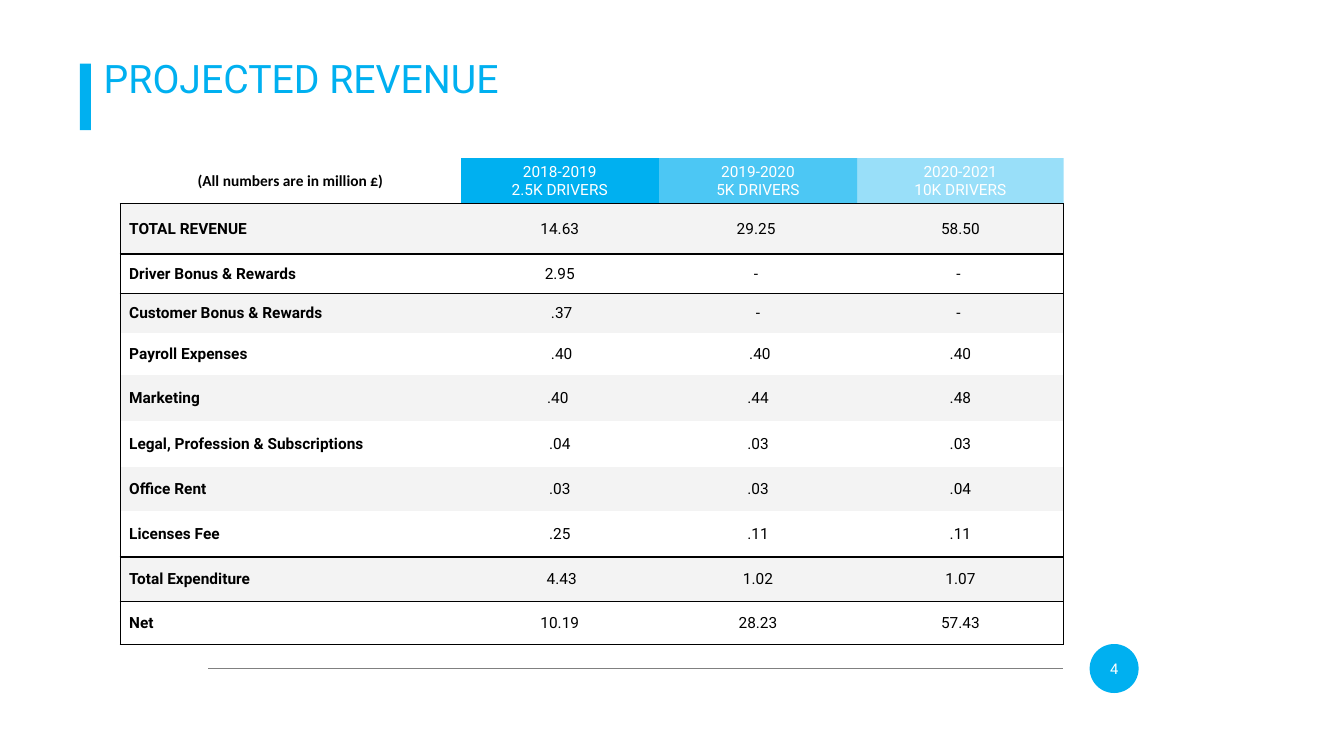
from lxml import etree
from pptx import Presentation
from pptx.dml.color import RGBColor
from pptx.enum.shapes import MSO_CONNECTOR, MSO_SHAPE
from pptx.enum.text import MSO_ANCHOR, PP_ALIGN
from pptx.oxml.ns import qn
from pptx.util import Pt

LEFT, CENTER = PP_ALIGN.LEFT, PP_ALIGN.CENTER
TOP, MIDDLE = MSO_ANCHOR.TOP, MSO_ANCHOR.MIDDLE
OVAL, RECTANGLE = MSO_SHAPE.OVAL, MSO_SHAPE.RECTANGLE
STRAIGHT = MSO_CONNECTOR.STRAIGHT

THEME = {
    "accent": "00B0F0", "ink": "000000", "paper": "FFFFFF", "band": "F3F3F3", "rule": "808080",
    "font": "Roboto", "note_font": "Calibri",
    "title_size": 28, "table_size": 11, "page_size": 10.5,
    "no_table_style": "{2D5ABB26-0587-4C30-8999-92F81FD0307C}",
}

TITLE = "PROJECTED REVENUE"
PAGE = "4"
UNIT_NOTE = "(All numbers are in million £)"
YEARS = [("2018-2019\n2.5K DRIVERS", 100), ("2019-2020\n5K DRIVERS", 70), ("2020-2021\n10K DRIVERS", 40)]
FIGURES = [
    ("TOTAL REVENUE", "14.63", "29.25\u00a0", "58.50"),
    ("Driver Bonus & Rewards", "2.95", "-\u00a0", "-\u00a0"),
    ("Customer Bonus & Rewards", "\u00a0.37", "-", "-\u00a0"),
    ("Payroll Expenses", "\u00a0.40", "\u00a0.40", ".40"),
    ("Marketing", ".40\u00a0", ".44", ".48"),
    ("Legal, Profession & Subscriptions", ".04", ".03", ".03"),
    ("Office Rent", ".03", ".03", ".04"),
    ("Licenses Fee", ".25", ".11", ".11"),
    ("Total Expenditure", "\u00a04.43", "1.02", "1.07"),
    ("Net", "10.19", "28.23", "57.43"),
]
RULED_BELOW = {"TOTAL REVENUE", "Licenses Fee", "Total Expenditure", "Net"}
BANDED = {"TOTAL REVENUE", "Customer Bonus & Rewards", "Marketing", "Office Rent", "Total Expenditure"}
COLUMN_WIDTHS = [243.36, 141.4, 141.8, 147.4]
ROW_HEIGHTS = [32.5, 36, 28.3, 28.1, 30.2, 32.4, 33.3, 31.6, 32.6, 31.6, 31]


def rgb(name):
    return RGBColor.from_string(THEME[name])


def write(frame, text, *, size, color, font="font", bold=False, align=LEFT, anchor=TOP):
    frame.word_wrap = True
    frame.vertical_anchor = anchor
    for index, line in enumerate(text.split("\n")):
        paragraph = frame.paragraphs[0] if index == 0 else frame.add_paragraph()
        paragraph.alignment = align
        run = paragraph.add_run()
        run.text = line
        run.font.name = THEME[font]
        run.font.size = Pt(THEME[size])
        run.font.bold = bold
        run.font.color.rgb = rgb(color)


def add_block(kind, *box):
    block = slide.shapes.add_shape(kind, *map(Pt, box))
    block.shadow.inherit = False
    block.fill.solid()
    block.fill.fore_color.rgb = rgb("accent")
    block.line.fill.background()


def style_cell(cell, fill, sides, opacity=100, inset=(6.5, 0)):
    cell.margin_left = cell.margin_right = Pt(inset[0])
    cell.margin_top = cell.margin_bottom = Pt(inset[1])
    cell.vertical_anchor = MIDDLE
    cell.fill.solid()
    cell.fill.fore_color.rgb = rgb(fill)
    properties = cell._tc.get_or_add_tcPr()
    if opacity < 100:
        tint = next(properties.iter(qn("a:srgbClr")))
        etree.SubElement(tint, qn("a:alpha"), val=str(opacity * 1000))
    for position, side in enumerate(side for side in "LRTB" if side in sides):
        border = etree.Element(qn("a:ln" + side), w=str(Pt(1)))
        ink = etree.SubElement(border, qn("a:solidFill"))
        etree.SubElement(ink, qn("a:srgbClr"), val=THEME["ink"])
        properties.insert(position, border)


deck = Presentation()
deck.slide_width, deck.slide_height = Pt(960), Pt(540)
slide = deck.slides.add_slide(deck.slide_layouts[6])

add_block(OVAL, 778.3, 460, 35, 35)
footer_rule = slide.shapes.add_connector(STRAIGHT, Pt(148.7), Pt(477.3), Pt(759.6), Pt(477.3))
footer_rule.line.color.rgb = rgb("rule")
footer_rule.line.width = Pt(0.5)
etree.SubElement(footer_rule._element.spPr, qn("a:effectLst"))

page_number = slide.shapes.add_textbox(Pt(778.3), Pt(460), Pt(35), Pt(35))
write(page_number.text_frame, PAGE, size="page_size", color="paper", align=CENTER, anchor=MIDDLE)

revenue = slide.shapes.add_table(
    len(FIGURES) + 1, len(COLUMN_WIDTHS), Pt(85.8), Pt(113),
    Pt(sum(COLUMN_WIDTHS)), Pt(sum(ROW_HEIGHTS))).table
revenue.first_row = revenue.horz_banding = False
revenue._tbl.tblPr.find(qn("a:tableStyleId")).text = THEME["no_table_style"]
for column, width in zip(revenue.columns, COLUMN_WIDTHS):
    column.width = Pt(width)
for row, height in zip(revenue.rows, ROW_HEIGHTS):
    row.height = Pt(height)

note = revenue.cell(0, 0)
style_cell(note, "paper", "B", inset=(1.5, 1.5))
write(note.text_frame, UNIT_NOTE, size="table_size", color="ink", font="note_font",
      bold=True, align=CENTER, anchor=MIDDLE)
for c, (year, opacity) in enumerate(YEARS, 1):
    heading = revenue.cell(0, c)
    style_cell(heading, "accent", "B", opacity)
    write(heading.text_frame, year, size="table_size", color="paper", align=CENTER, anchor=MIDDLE)

ruled_above = True
for r, figures in enumerate(FIGURES, 1):
    item = figures[0]
    rules = "T" * ruled_above + "B" * (item in RULED_BELOW)
    for c, figure in enumerate(figures):
        cell = revenue.cell(r, c)
        edge = {0: "L", len(figures) - 1: "R"}.get(c, "")
        style_cell(cell, "band" if item in BANDED else "paper", rules + edge)
        write(cell.text_frame, figure, size="table_size", color="ink", bold=c == 0,
              align=CENTER if c else LEFT, anchor=MIDDLE)
    ruled_above = item in RULED_BELOW

title = slide.shapes.add_textbox(Pt(67), Pt(35.3), Pt(459.4), Pt(41))
write(title.text_frame, TITLE, size="title_size", color="accent")
add_block(RECTANGLE, 57, 45.4, 8, 47.5)

deck.save("out.pptx")
